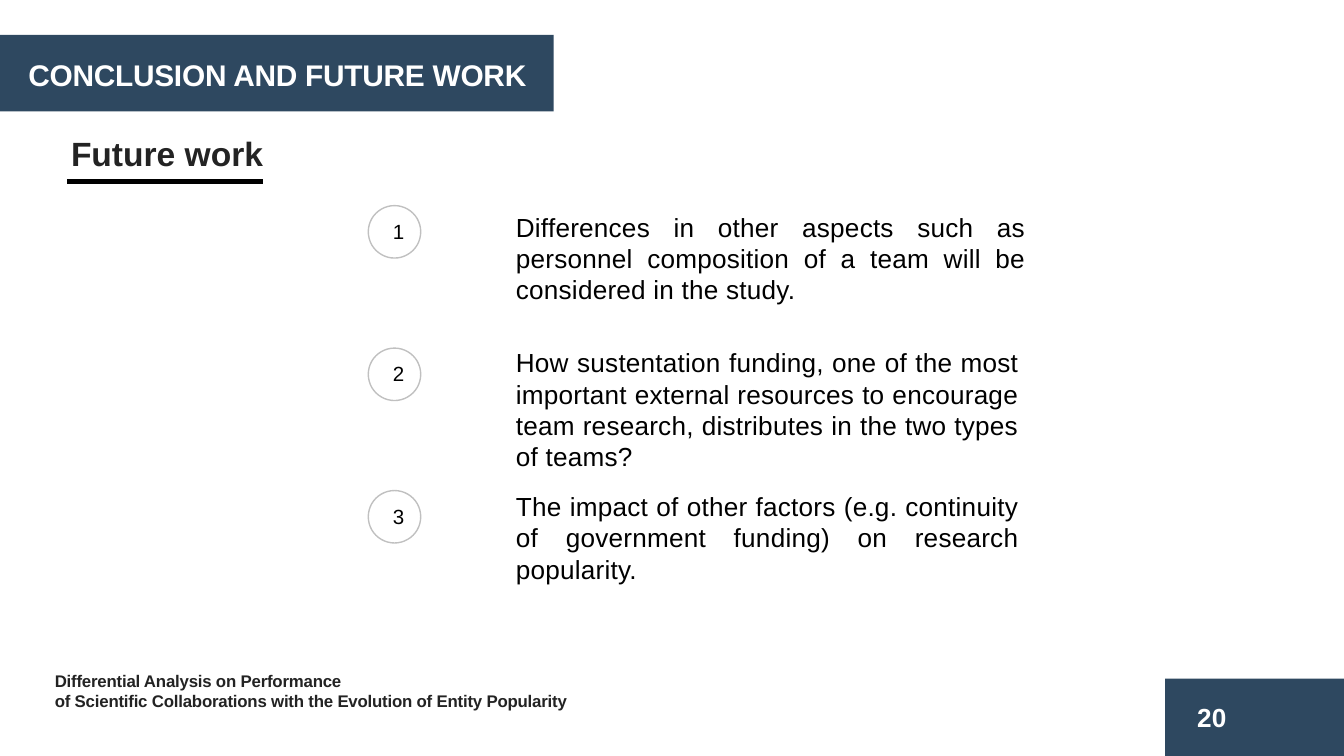
from lxml import etree
from pptx import Presentation
from pptx.dml.color import RGBColor
from pptx.enum.shapes import MSO_CONNECTOR as Connector, MSO_SHAPE as Shape
from pptx.enum.text import MSO_AUTO_SIZE as AutoSize, PP_ALIGN as Align
from pptx.oxml.ns import qn
from pptx.util import Inches, Pt

SLIDE_WIDTH = 10
SLIDE_HEIGHT = SLIDE_WIDTH * 9 / 16
NAVY, WHITE, BLACK = "2E4860", "FFFFFF", "000000"
DARK, SILVER = "232323", "C0C0C0"
TEXT_LEFT = 3.74
BADGE_LEFT, BADGE_TOP, BADGE_STEP, BADGE_SIZE = 2.74, 1.53, 1.06, 0.39

# Text, top, width and height of each item
ITEMS = [
    ("Differences in other aspects such as personnel composition of a team "
     "will be considered in the study. ", 1.52, 3.99, 0.81),
    ("How sustentation funding, one of the most important external resources "
     "to encourage team research, distributes in the two types of teams?",
     2.53, 3.94, 1.04),
    ("The impact of other factors (e.g. continuity of government funding) on "
     "research popularity.", 3.6, 3.94, 0.81),
]


def rgb(hex_color):
    return RGBColor.from_string(hex_color)


def add_text(shapes, text, left, top, width, height, size=14, color=BLACK,
             bold=False, align=Align.LEFT, tracking=0, margins=(0.1, 0.1)):
    box = shapes.add_textbox(Inches(left), Inches(top), Inches(width), Inches(height))
    frame = box.text_frame
    frame.word_wrap = True
    frame.auto_size = AutoSize.SHAPE_TO_FIT_TEXT
    frame.margin_left, frame.margin_right = map(Inches, margins)
    for index, line in enumerate(text.split("\n")):
        paragraph = frame.add_paragraph() if index else frame.paragraphs[0]
        paragraph.alignment = align
        run = paragraph.add_run()
        run.text = line
        run.font.name = "Arial"
        run.font.size = Pt(size)
        run.font.bold = bold
        run.font.color.rgb = rgb(color)
        if tracking:
            run._r.get_or_add_rPr().set("spc", str(round(tracking * 100)))


def add_panel(shapes, left, top, width, height):
    panel = shapes.add_shape(Shape.RECTANGLE, Inches(left), Inches(top),
                             Inches(width), Inches(height))
    panel.shadow.inherit = False
    panel.fill.solid()
    panel.fill.fore_color.rgb = rgb(NAVY)
    panel.line.fill.background()


def add_badge(shapes, number, top):
    group = shapes.add_group_shape()
    circle = group.shapes.add_shape(Shape.OVAL, Inches(BADGE_LEFT), Inches(top),
                                    Inches(BADGE_SIZE), Inches(BADGE_SIZE))
    circle.shadow.inherit = False
    circle.fill.background()
    circle.line.color.rgb = rgb(SILVER)
    circle.line.width = Pt(0.75)
    add_text(group.shapes, str(number), BADGE_LEFT + 0.1, top + 0.05, 0.18, 0.29,
             size=11, align=Align.CENTER, margins=(0.07, 0))


def add_rule(shapes, left, right, top):
    rule = shapes.add_connector(Connector.STRAIGHT, Inches(left), Inches(top),
                                Inches(right), Inches(top))
    rule.line.color.rgb = rgb(BLACK)
    rule.line.width = Pt(3)
    etree.SubElement(rule._element.spPr, qn("a:effectLst"))


def main():
    presentation = Presentation()
    presentation.slide_width = Inches(SLIDE_WIDTH)
    presentation.slide_height = Inches(SLIDE_HEIGHT)
    slide = presentation.slides.add_slide(presentation.slide_layouts[6])
    shapes = slide.shapes

    # Page number
    add_panel(shapes, 8.67, 5.05, 1.33, 0.59)
    add_text(shapes, "20", 8.81, 5.17, 0.5, 0.34, color=WHITE, bold=True)

    # Title band
    add_panel(shapes, 0, 0.26, 4.12, 0.57)
    add_text(shapes, "CONCLUSION AND FUTURE WORK", 0.09, 0.37, 3.95, 0.37, size=16,
             color=WHITE, bold=True, align=Align.CENTER, tracking=-0.1)

    # Numbered items
    for index, (text, top, width, height) in enumerate(ITEMS):
        add_text(shapes, text, TEXT_LEFT, top, width, height,
                 align=Align.JUSTIFY, tracking=0.1)
        add_badge(shapes, index + 1, BADGE_TOP + index * BADGE_STEP)

    # Underlined heading
    add_text(shapes, "Future work", 0.43, 0.94, 1.95, 0.4, size=18, color=DARK,
             bold=True, align=Align.JUSTIFY)
    add_rule(shapes, 0.5, 1.96, 1.35)

    # Footer
    add_text(shapes, "Differential Analysis on Performance\n"
             "of Scientific Collaborations with the Evolution of Entity Popularity",
             0.31, 4.94, 4.86, 0.4, size=9, color=DARK, bold=True, tracking=-0.1)

    presentation.save("out.pptx")


if __name__ == "__main__":
    main()
